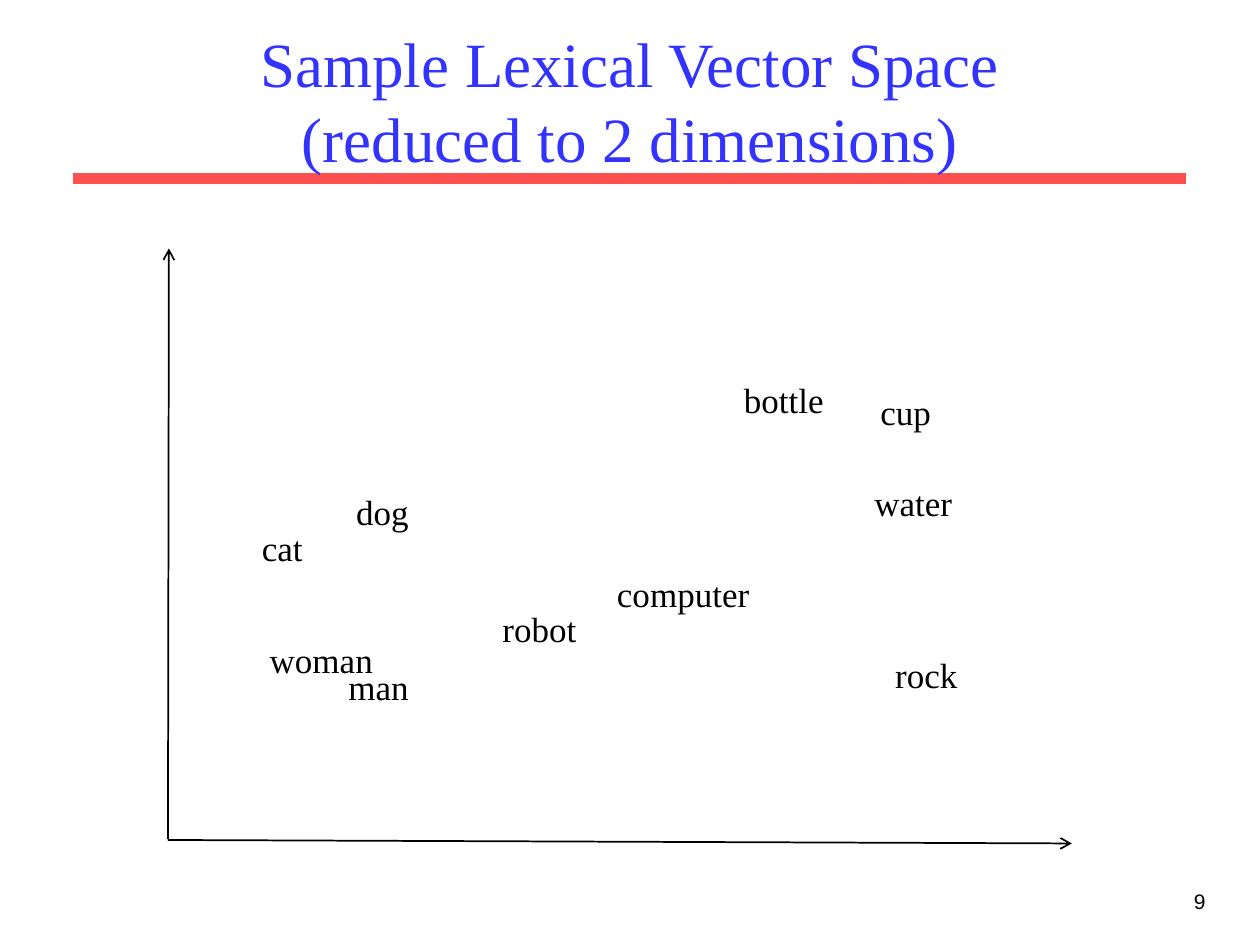
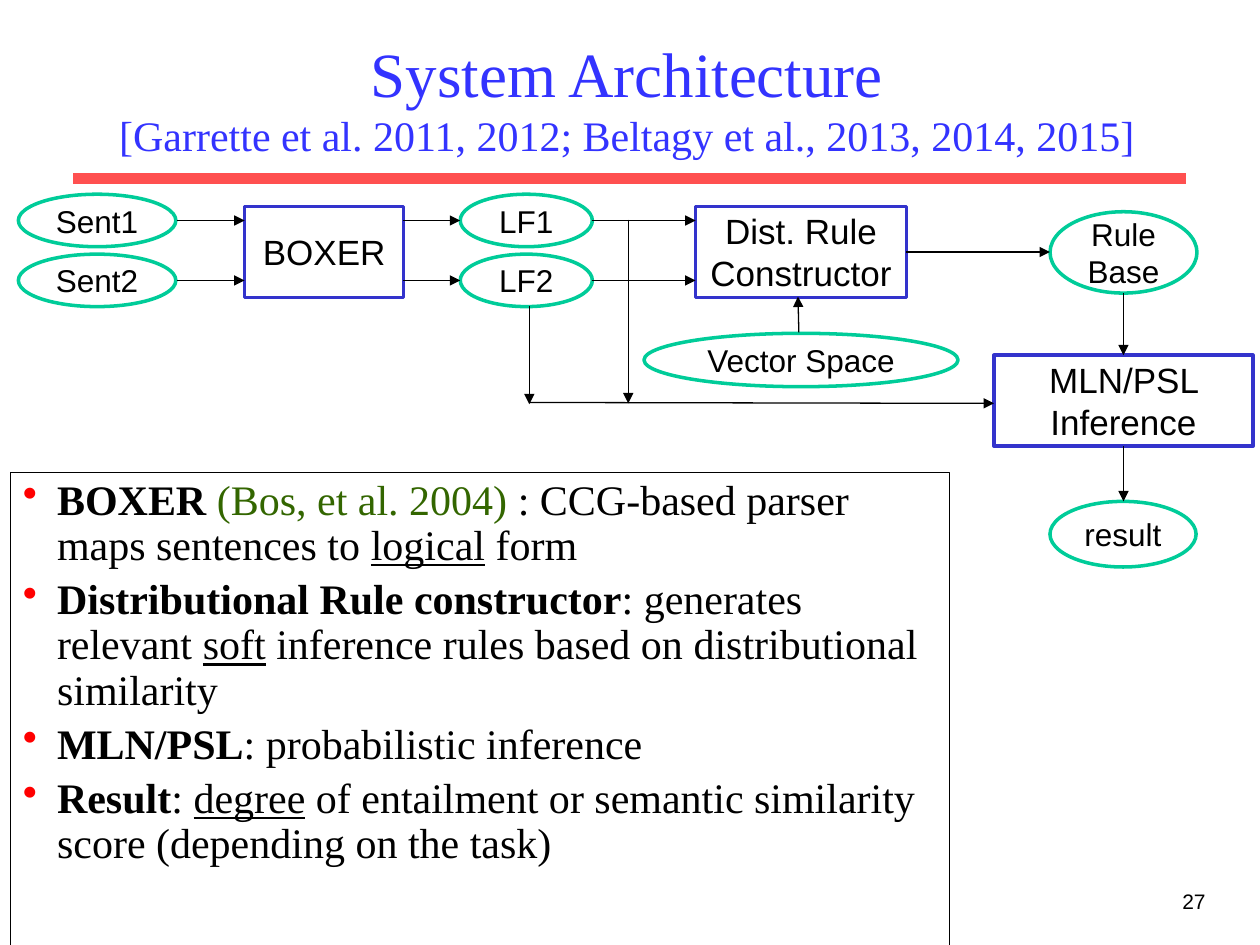
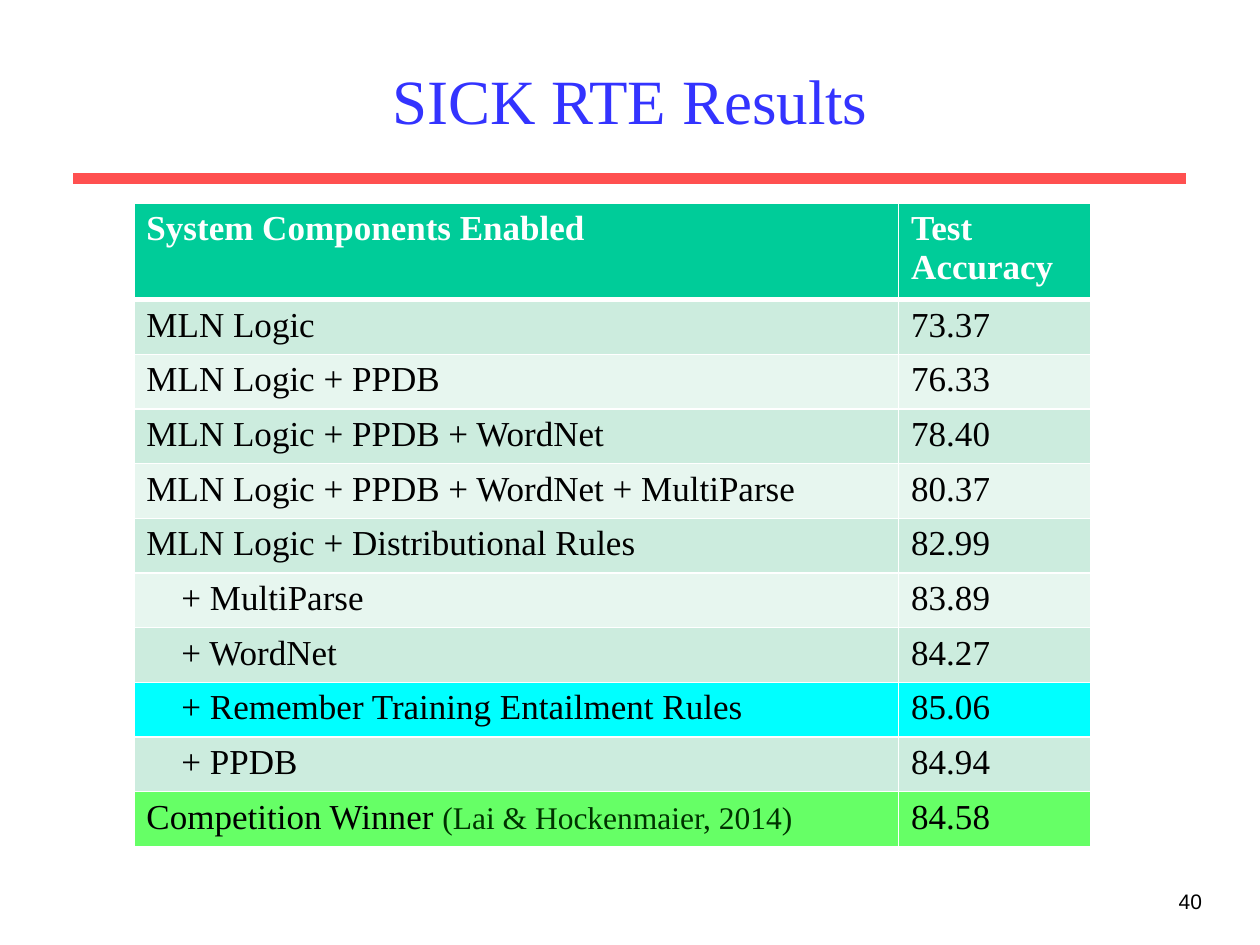
from lxml.etree import SubElement
from pptx import Presentation
from pptx.dml.color import RGBColor
from pptx.enum.shapes import MSO_CONNECTOR, MSO_SHAPE
from pptx.enum.text import MSO_ANCHOR, PP_ALIGN
from pptx.oxml.ns import qn
from pptx.util import Pt

BLACK = RGBColor(0x00, 0x00, 0x00)
WHITE = RGBColor(0xFF, 0xFF, 0xFF)
TITLE_BLUE = RGBColor(0x33, 0x33, 0xFF)
RULE_RED = RGBColor(0xFF, 0x50, 0x50)
BULLET_RED = RGBColor(0xFF, 0x00, 0x00)
BOX_BLUE = RGBColor(0x33, 0x33, 0xCC)
TEAL = RGBColor(0x00, 0xCC, 0x99)
CITATION_GREEN = RGBColor(0x33, 0x66, 0x00)
DARK_GREEN = RGBColor(0x00, 0x33, 0x00)
BAND_DARK = RGBColor(0xCC, 0xEC, 0xDE)
BAND_LIGHT = RGBColor(0xE7, 0xF6, 0xEF)
BEST_CYAN = RGBColor(0x00, 0xFF, 0xFF)
WINNER_GREEN = RGBColor(0x66, 0xFF, 0x66)
SERIF, SANS = "Times New Roman", "Arial"

WORDS = [
    ("dog", 196.5, 276.5, 45), ("cat", 142.5, 297.5, 38),
    ("man", 192, 376.5, 49), ("woman", 147, 361.5, 74),
    ("bottle", 418, 212.5, 61), ("cup", 496, 219.5, 44),
    ("water", 492.5, 271.5, 59), ("rock", 504.5, 370, 50.5),
    ("computer", 345.5, 323.5, 91), ("robot", 280, 343.5, 57),
]
OVALS = [
    ("Sent1", 10.5, 111, 90, 30), ("Sent2", 10.5, 145.25, 90, 30),
    ("LF1", 263, 111, 75.5, 30), ("LF2", 263, 145.25, 75.5, 30),
    ("Rule Base", 600, 121, 84, 46.5), ("result", 600, 286.5, 83.5, 37.5),
    ("Vector Space", 368, 190.5, 179.5, 30.5),
]
MODULES = [
    ("BOXER", 139.75, 118, 91, 52),
    ("Dist. Rule\nConstructor", 397.5, 118, 120.5, 52),
    ("MLN/PSL Inference", 568, 203, 148, 52),
]
FLOW_ROWS = [126, 160.25]
FLOW_SPANS = [(101, 139.75), (230.5, 263), (338.5, 397.5)]
OTHER_FLOWS = [
    (456.5, 190, 456, 169.5), (518, 144, 600, 144), (642, 167.5, 642, 203),
    (359, 125.5, 359, 230.5), (642, 255, 642, 286.5),
    (302.5, 230, 568, 230.5), (302.5, 175, 302.5, 231),
]
BOLD, UNDERLINED = {"bold": True}, {"underline": True}
NOTES = [
    [("BOXER ", BOLD), ("(Bos, et al. 2004) ", {"color": CITATION_GREEN}),
     (": CCG-based parser maps sentences to ", {}), ("logical", UNDERLINED), (" form", {})],
    [("Distributional Rule constructor", BOLD), (": generates relevant ", {}),
     ("soft", UNDERLINED), (" inference rules based on distributional similarity", {})],
    [("MLN/PSL", BOLD), (": probabilistic inference", {})],
    [("Result", BOLD), (": ", {}), ("degree", UNDERLINED),
     (" of entailment or semantic similarity score (depending on the task)", {})],
]
RESULTS = [
    ("MLN Logic", "73.37"),
    ("MLN Logic + PPDB", "76.33"),
    ("MLN Logic + PPDB + WordNet", "78.40"),
    ("MLN Logic + PPDB + WordNet + MultiParse", "80.37"),
    ("MLN Logic + Distributional Rules", "82.99"),
    ("+ MultiParse", "83.89"),
    ("+ WordNet", "84.27"),
    ("+ Remember Training Entailment Rules", "85.06"),
    ("+ PPDB", "84.94"),
    ("Competition Winner ", "84.58"),
]
HIGHLIGHTS = {8: BEST_CYAN, 10: WINNER_GREEN}


def write(para, text, size=20, font=SERIF, color=BLACK, bold=False, underline=False):
    """Add a formatted span to a paragraph."""
    span = para.add_run()
    span.text = text
    span.font.size = Pt(size)
    span.font.name = font
    span.font.color.rgb = color
    span.font.bold = bold
    span.font.underline = underline


def add_text_box(page, left, top, width, height, wrap=True, align=PP_ALIGN.LEFT):
    """Add an empty text box and return it with its first paragraph."""
    box = page.shapes.add_textbox(Pt(left), Pt(top), Pt(width), Pt(height))
    box.text_frame.word_wrap = wrap
    para = box.text_frame.paragraphs[0]
    para.alignment = align
    return box, para


def add_line(page, x1, y1, x2, y2, color=BLACK, width=0.75, head=None):
    """Draw a straight line, with an arrowhead at its end if one is named."""
    line = page.shapes.add_connector(MSO_CONNECTOR.STRAIGHT, Pt(x1), Pt(y1), Pt(x2), Pt(y2))
    line.line.color.rgb = color
    line.line.width = Pt(width)
    if head:
        SubElement(line.line._get_or_add_ln(), qn("a:tailEnd"), type=head)
    SubElement(line._element.spPr, qn("a:effectLst"))


def add_page(deck, title, number, subtitle=None, title_frame=(54, 18, 612, 78), number_left=546):
    """Add a page with its red rule, title and page number."""
    page = deck.slides.add_slide(deck.slide_layouts[6])
    add_line(page, 42, 102, 678, 102, RULE_RED, 6)
    box, para = add_text_box(page, *title_frame, align=PP_ALIGN.CENTER)
    box.text_frame.vertical_anchor = MSO_ANCHOR.MIDDLE
    for index, text in enumerate(title.split("\n")):
        if index:
            para.add_line_break()
        write(para, text, size=36, color=TITLE_BLUE)
    if subtitle:
        para.add_line_break()
        write(para, subtitle, size=24, color=TITLE_BLUE)
    box, para = add_text_box(page, number_left, 504, 150, 36, align=PP_ALIGN.RIGHT)
    write(para, number, size=12, font=SANS)
    return page


def add_node(page, kind, text, left, top, width, height, color, size):
    """Draw a white outlined shape with centred text, one paragraph a line."""
    node = page.shapes.add_shape(kind, Pt(left), Pt(top), Pt(width), Pt(height))
    node.shadow.inherit = False
    node.fill.solid()
    node.fill.fore_color.rgb = WHITE
    node.line.color.rgb = color
    node.line.width = Pt(2)
    frame = node.text_frame
    frame.word_wrap = True
    frame.vertical_anchor = MSO_ANCHOR.MIDDLE
    for index, line in enumerate(text.split("\n")):
        para = frame.add_paragraph() if index else frame.paragraphs[0]
        para.alignment = PP_ALIGN.CENTER
        write(para, line, size=size, font=SANS)


def add_bullet(para):
    """Give a paragraph a red bullet and a hanging indent."""
    properties = para._p.get_or_add_pPr()
    properties.set("marL", str(Pt(19.5)))
    properties.set("indent", str(Pt(-19.5)))
    color = SubElement(properties, qn("a:buClr"))
    SubElement(color, qn("a:srgbClr"), val=str(BULLET_RED))
    SubElement(properties, qn("a:buChar"), char="•")


def add_notes_box(page):
    """Add the outlined box of bulleted explanations."""
    box, para = add_text_box(page, 6, 270, 536.5, 270)
    box.line.color.rgb = BLACK
    box.line.width = Pt(0.5)
    for index, spans in enumerate(NOTES):
        if index:
            para = box.text_frame.add_paragraph()
        para.line_spacing = 0.9
        para.space_before = Pt(5)
        add_bullet(para)
        for text, style in spans:
            write(para, text, size=24, **style)


def style_cell(cell, fill, top, bottom):
    """Set white borders and a solid fill on a table cell."""
    properties = cell._tc.get_or_add_tcPr()
    for side, width in (("L", 1), ("R", 1), ("T", top), ("B", bottom)):
        border = SubElement(properties, qn("a:ln" + side), w=str(Pt(width)))
        SubElement(SubElement(border, qn("a:solidFill")), qn("a:srgbClr"), val=str(WHITE))
    cell.fill.solid()
    cell.fill.fore_color.rgb = fill


def add_results_table(page):
    """Add the accuracy table with banded and highlighted rows."""
    rows = [("System Components Enabled", "Test Accuracy")] + RESULTS
    table = page.shapes.add_table(len(rows), 2, Pt(76.5), Pt(116), Pt(547), Pt(357.5)).table
    table.first_row = table.horz_banding = False
    table.columns[0].width, table.columns[1].width = Pt(437), Pt(110)
    for index, texts in enumerate(rows):
        header = index == 0
        table.rows[index].height = Pt(52.5 if header else 30.5)
        band = BAND_DARK if index % 2 else BAND_LIGHT
        fill = TEAL if header else HIGHLIGHTS.get(index, band)
        for column, text in enumerate(texts):
            cell = table.cell(index, column)
            style_cell(cell, fill, 3 if index == 1 else 1, 3 if header else 1)
            if text.startswith("+"):
                cell.margin_left = Pt(27.2)
            write(cell.text_frame.paragraphs[0], text, color=WHITE if header else BLACK, bold=header)
    winner = table.cell(len(rows) - 1, 0).text_frame.paragraphs[0]
    write(winner, "(Lai & Hockenmaier, 2014)", size=18, color=DARK_GREEN)


def build_vector_space(deck):
    """Build the page that places words on two axes."""
    page = add_page(deck, "Sample Lexical Vector Space\n(reduced to 2 dimensions)", "9")
    add_line(page, 96, 479.5, 96.5, 142, width=1, head="arrow")
    add_line(page, 96, 480, 612.5, 482, width=1, head="arrow")
    for word, left, top, width in WORDS:
        box, para = add_text_box(page, left, top, width, 31.5, wrap=False)
        write(para, word)


def build_architecture(deck):
    """Build the page with the system diagram and its explanations."""
    page = add_page(deck, "System Architecture", "27",
                    subtitle="[Garrette et al. 2011, 2012; Beltagy et al., 2013, 2014, 2015]",
                    title_frame=(54, 16, 608.5, 79))
    for oval in OVALS:
        add_node(page, MSO_SHAPE.OVAL, *oval, color=TEAL, size=18)
    for module in MODULES:
        add_node(page, MSO_SHAPE.RECTANGLE, *module, color=BOX_BLUE, size=20)
    add_notes_box(page)
    row_flows = [(start, y, end, y) for y in FLOW_ROWS for start, end in FLOW_SPANS]
    for flow in row_flows + OTHER_FLOWS:
        add_line(page, *flow, head="triangle")


def build_results(deck):
    """Build the page with the accuracy table."""
    page = add_page(deck, "SICK RTE Results", "40", number_left=544)
    add_results_table(page)


def main():
    """Build and save the deck."""
    deck = Presentation()
    deck.slide_width, deck.slide_height = Pt(720), Pt(540)
    build_vector_space(deck)
    build_architecture(deck)
    build_results(deck)
    deck.save("out.pptx")


if __name__ == "__main__":
    main()
